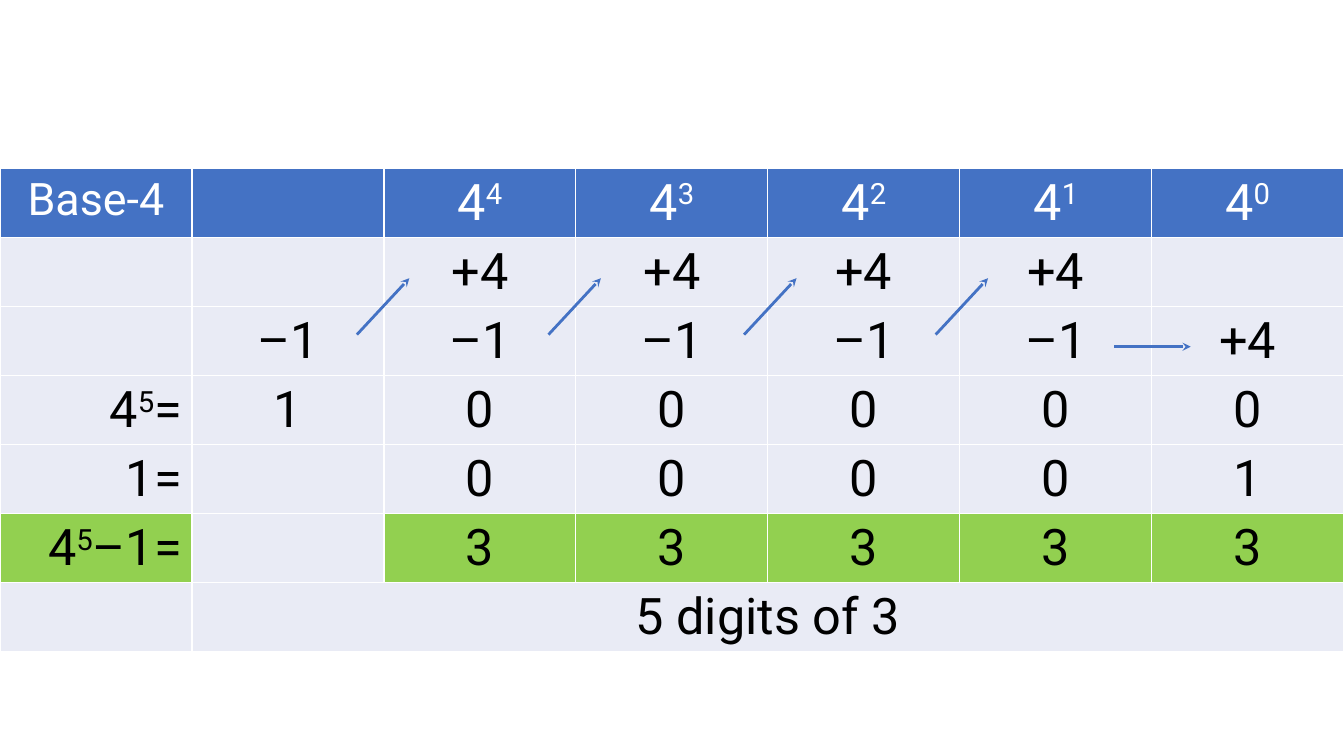
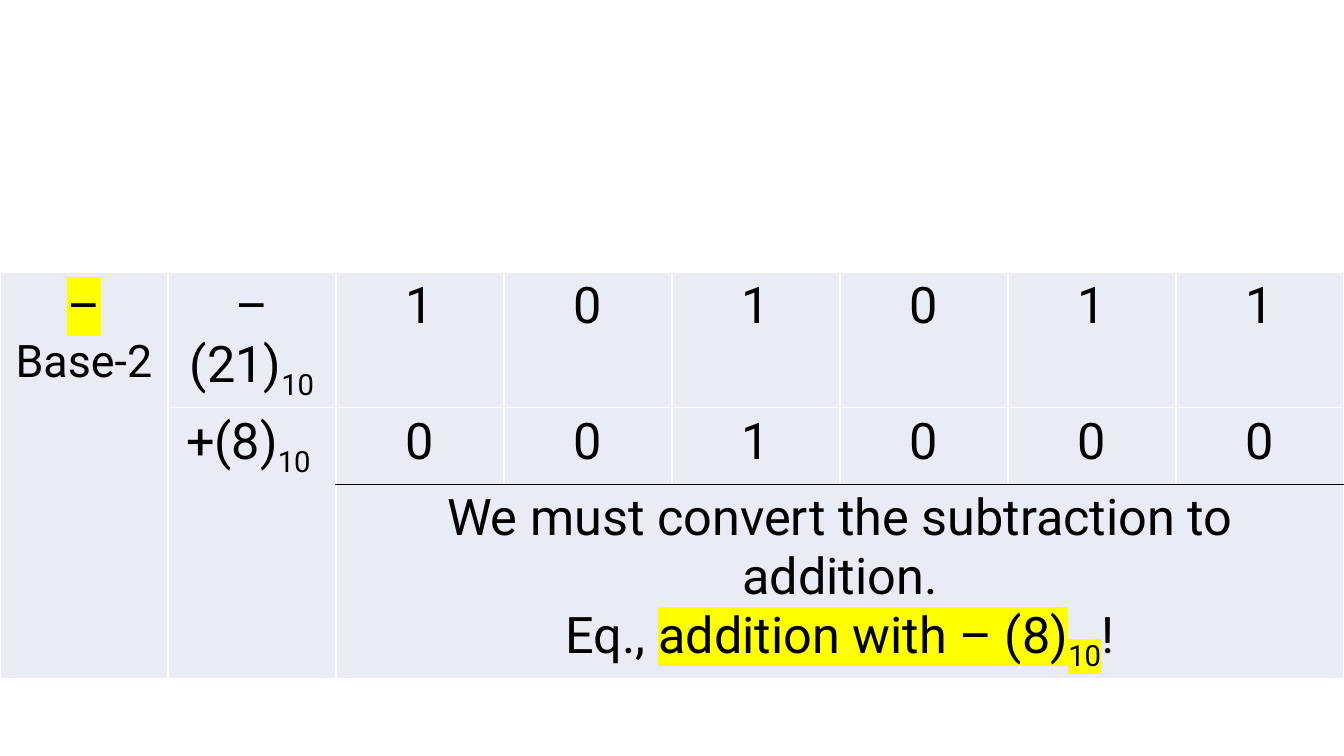
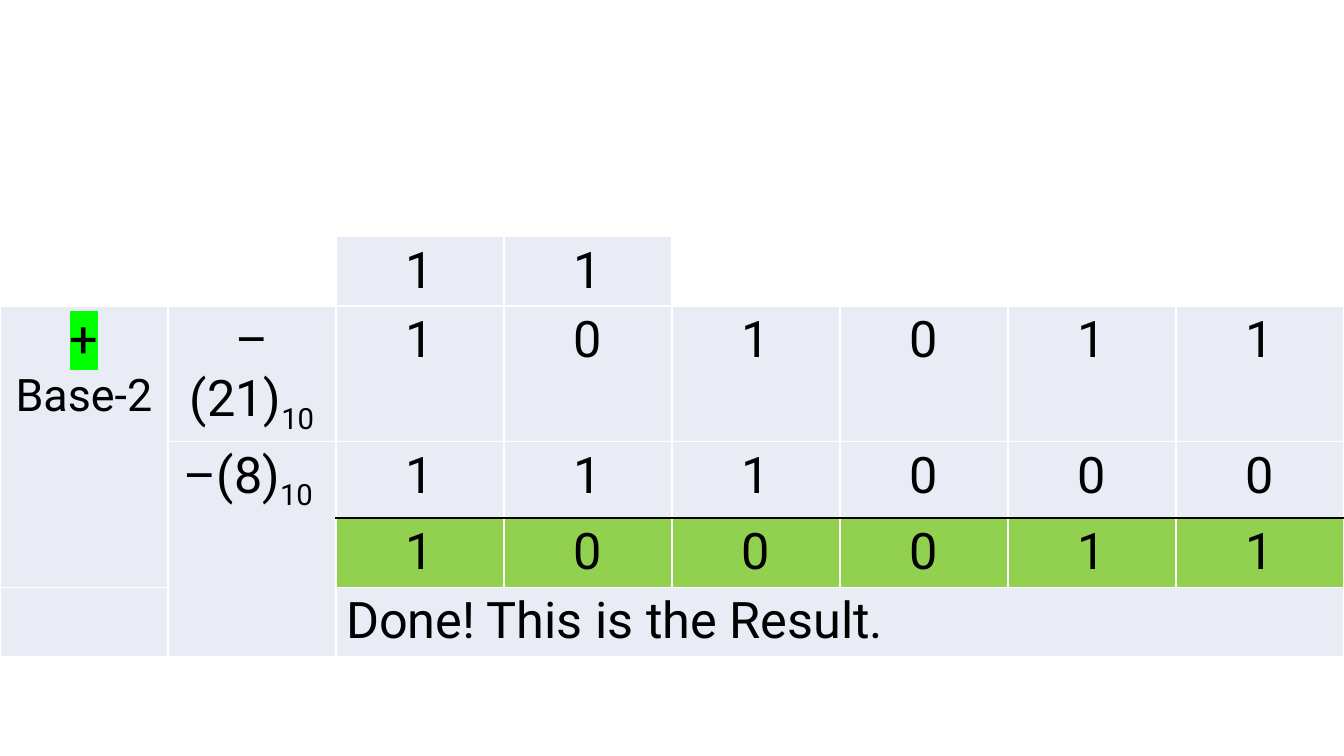
from lxml import etree
from pptx import Presentation
from pptx.dml.color import RGBColor
from pptx.enum import shapes, text
from pptx.oxml.ns import qn
from pptx.util import Inches, Pt

HUE = {"blue": "4472C4", "pale": "E9EBF5", "green": "92D050", "white": "FFFFFF",
       "black": "000000", "yellow": "FFFF00", "lime": "00FF00"}
FILL = {"b": "blue", "p": "pale", "g": "green", "-": None}
FONT = "Roboto"
WIDE, HIGH = 13.33, 7.5
LINE = 0.68  # height of a row with one line of text


def run(words, **form):
    return {"words": words, **form}


def sup(words):
    return run(words, base=30)


def sub(words, **form):
    return run(words, base=-25, **form)


def sign(mark, hue):
    """Operator over the name of the base, as the paragraphs of one cell."""
    return [(run(mark, mark=hue),), (run("Base-2", size=32),)]


MINUS = ("–(21)", sub("10"))

# A cell is a string, a tuple of runs, or a list of such paragraphs.
# "fills" has one letter per cell; spans are (row, column, last row, last column);
# "joins" are cells with no border below; "rule" is the row over the black line.
TABLES = [
    {
        "top": 1.67,
        "rows": [LINE] * 7,
        "cells": [
            [(run("Base-4", size=32),), ""] + [("4", sup(n)) for n in "43210"],
            ["", ""] + ["+4"] * 4 + [""],
            [""] + ["–1"] * 5 + ["+4"],
            [("4", sup("5"), "="), "1"] + ["0"] * 5,
            ["1=", ""] + ["0"] * 4 + ["1"],
            [("4", sup("5"), "–1="), ""] + ["3"] * 5,
            ["", "5 digits of 3"] + [""] * 5,
        ],
        "fills": ["b" * 7] + ["p" * 7] * 4 + ["gpggggg", "p" * 7],
        "spans": [(6, 1, 6, 6)],
        "align": {(r, 0): "RIGHT" for r in (3, 4, 5)},
    },
    {
        "top": 2.7,
        "rows": [1.33, 0.76, 1.92],
        "cells": [
            [sign("–", "yellow"), MINUS, *"101011"],
            ["", ("+(8)", sub("10 ")), *"001000"],
            ["", "", ["We must convert the subtraction to addition.",
                      ("Eq., ", run("addition with – (8)", mark="yellow"),
                       sub("10", mark="yellow"), "!")]] + [""] * 5,
        ],
        "fills": ["p" * 8] * 3,
        "spans": [(0, 0, 2, 0), (2, 2, 2, 7)],
        "joins": [(1, 1)],
        "rule": 1,
    },
    {
        "top": 2.35,
        "rows": [LINE, 1.33, 0.76, LINE, LINE],
        "cells": [
            ["", "", "1", "1"] + [""] * 4,
            [sign("+", "lime"), MINUS, *"101011"],
            ["", ("–(8)", sub("10 ")), *"111000"],
            ["", "", *"100011"],
            ["", "", "Done! This is the Result."] + [""] * 5,
        ],
        "fills": ["--pp----", "p" * 8, "p" * 8, "ppgggggg", "p" * 8],
        "spans": [(1, 0, 3, 0), (4, 2, 4, 7)],
        "joins": [(2, 1), (3, 1)],
        "rule": 2,
        "align": {(4, 2): "LEFT"},
    },
]
ARROWS = [((x, 3.32), (x + 0.52, 2.76)) for x in (3.54, 5.44, 7.38, 9.28)]
ARROWS.append(((11.05, 3.44), (11.81, 3.44)))


def rgb(name):
    return RGBColor.from_string(HUE[name])


def paint(parent, name):
    fill = etree.SubElement(parent, qn("a:solidFill"))
    etree.SubElement(fill, qn("a:srgbClr"), val=HUE[name])


def write(para, words, size=36, hue="black", base=0, mark=None):
    part = para.add_run()
    part.text = words
    font = part.font
    font.size, font.name, font.bold = Pt(size), FONT, False
    font.color.rgb = rgb(hue)
    props = font._element
    if base:
        props.set("baseline", str(base * 1000))
    if mark:
        light = etree.Element(qn("a:highlight"))
        etree.SubElement(light, qn("a:srgbClr"), val=HUE[mark])
        props.find(qn("a:solidFill")).addnext(light)


def fill_text(frame, content, align, hue):
    paras = content if isinstance(content, list) else [content]
    for i, runs in enumerate(paras):
        para = frame.add_paragraph() if i else frame.paragraphs[0]
        para.alignment = getattr(text.PP_ALIGN, align)
        for item in (runs,) if isinstance(runs, str) else runs:
            form = {"words": item} if isinstance(item, str) else item
            write(para, hue=hue, **form)


def edge(cell, sides):
    """Draw the four borders; a side without a colour is left open."""
    props = cell._tc.get_or_add_tcPr()
    for n, (side, name) in enumerate(sides.items()):
        line = etree.Element(qn("a:ln" + side), w=str(Pt(1)))
        if name:
            paint(line, name)
        else:
            etree.SubElement(line, qn("a:noFill"))
        props.insert(n, line)


def draw_table(slide, data):
    cells, rows = data["cells"], data["rows"]
    count = len(cells[0])
    joins, rule = data.get("joins", []), data.get("rule")
    table = slide.shapes.add_table(len(rows), count, 0, Inches(data["top"]),
                                   Inches(WIDE), Inches(sum(rows))).table
    table.first_row = table.horz_banding = False
    for col in table.columns:
        col.width = Inches(WIDE / count)
    for r, high in enumerate(rows):
        table.rows[r].height = Inches(high)
        for c, content in enumerate(cells[r]):
            cell, code = table.cell(r, c), data["fills"][r][c]
            if FILL[code]:
                cell.fill.solid()
                cell.fill.fore_color.rgb = rgb(FILL[code])
            else:
                cell.fill.background()

            def under(row):
                """Colour of the border below this column's cell in a row."""
                if (row, c) in joins:
                    return None
                return "black" if row == rule and c > 1 else "white"

            edge(cell, {"L": "white", "R": "white", "T": under(r - 1), "B": under(r)})
            if content:
                align = data.get("align", {}).get((r, c), "CENTER")
                fill_text(cell.text_frame, content, align,
                          "white" if code == "b" else "black")
    for r, c, last, end in data["spans"]:
        table.cell(r, c).merge(table.cell(last, end))


def draw_arrow(slide, start, end):
    ends = [Inches(v) for v in (*start, *end)]
    arrow = slide.shapes.add_connector(shapes.MSO_CONNECTOR.STRAIGHT, *ends)
    arrow.line.color.rgb, arrow.line.width = rgb("blue"), Pt(2)
    etree.SubElement(arrow.line._get_or_add_ln(), qn("a:tailEnd"), type="stealth")
    etree.SubElement(arrow._element.spPr, qn("a:effectLst"))


def main():
    deck = Presentation()
    deck.slide_width, deck.slide_height = Inches(WIDE), Inches(HIGH)
    slides = [deck.slides.add_slide(deck.slide_layouts[6]) for _ in TABLES]
    for slide, data in zip(slides, TABLES):
        draw_table(slide, data)
    for start, end in ARROWS:
        draw_arrow(slides[0], start, end)
    deck.save("out.pptx")


if __name__ == "__main__":
    main()
